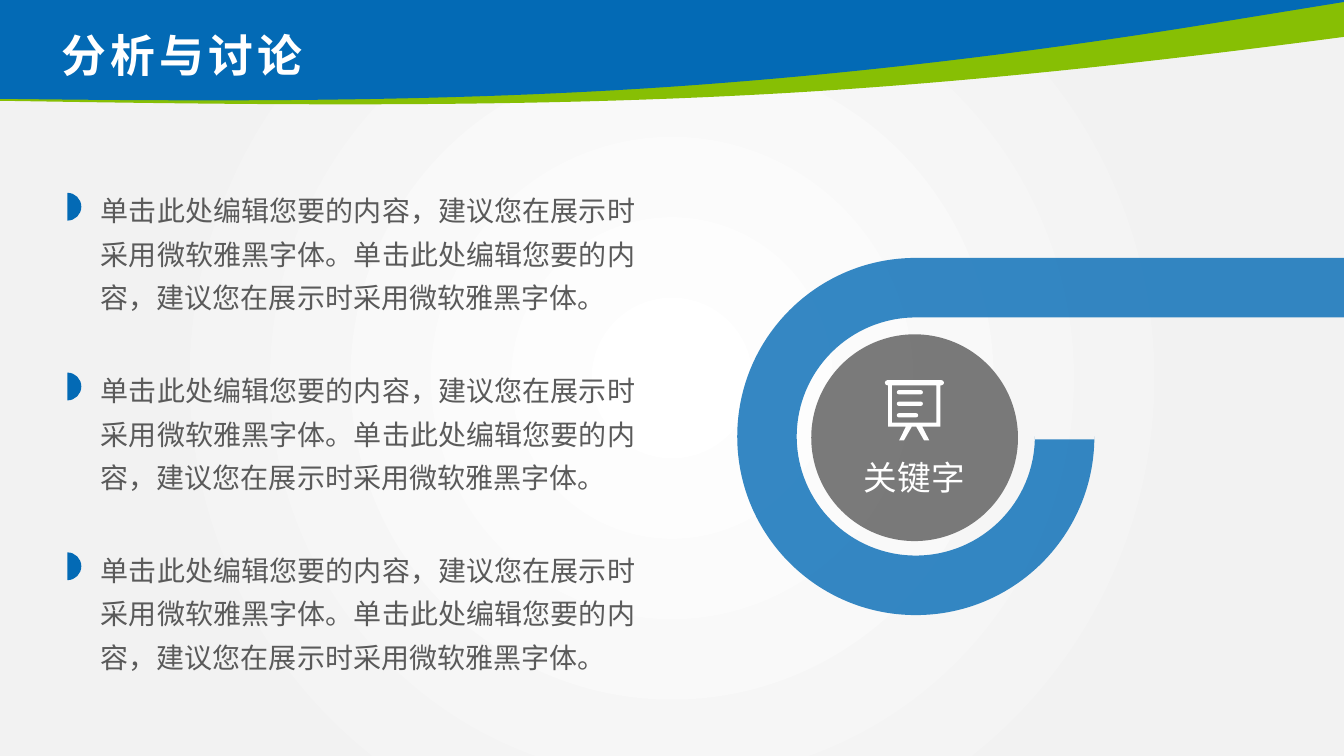
from math import ceil, cos, radians, sin, tan

from pptx import Presentation
from pptx.dml.color import RGBColor
from pptx.enum.shapes import MSO_SHAPE as Kind
from pptx.enum.text import MSO_ANCHOR as Anchor, MSO_AUTO_SIZE as Fit, PP_ALIGN as Align
from pptx.oxml import parse_xml
from pptx.oxml.ns import nsdecls, qn
from pptx.util import Cm, Pt

BLUE, GREEN, GREY, WHITE = "036AB5", "87BF04", "5A5A5A", "FFFFFF"
WIDE, HIGH = 33.87, 19.05
BODY = "单击此处编辑您要的内容，建议您在展示时采用微软雅黑字体。" * 2


def tint(hue):
    return RGBColor.from_string(hue)


def paint(shape, hue, alpha=None):
    shape.shadow.inherit = False
    shape.fill.solid()
    shape.fill.fore_color.rgb = tint(hue)
    shape.line.fill.background()
    if alpha:
        node = shape.element.spPr.find(".//" + qn("a:srgbClr"))
        node.append(parse_xml(f'<a:alpha {nsdecls("a")} val="{alpha * 1000}"/>'))
    return shape


# An outline ring is a list of steps: one point for a line, three for a curve
def lines(*spots):
    return [[spot] for spot in spots]


def arc(x, y, r, start, end):
    """Steps along a circle; angles in degrees, clockwise from the right."""
    count = ceil(abs(end - start) / 90)
    turn = radians(end - start) / count
    k = 4 / 3 * tan(turn / 4)
    steps = lines((x + r * cos(radians(start)), y + r * sin(radians(start))))
    for i in range(count):
        a = radians(start) + i * turn
        b = a + turn
        steps.append([(x + r * (cos(a) - k * sin(a)), y + r * (sin(a) + k * cos(a))),
                      (x + r * (cos(b) + k * sin(b)), y + r * (sin(b) - k * cos(b))),
                      (x + r * cos(b), y + r * sin(b))])
    return steps


def pill(x, y, w, h):
    r = h / 2
    return arc(x + w - r, y + r, r, -90, 90) + arc(x + r, y + r, r, 90, 270)


def draw(shapes, rings, hue, alpha=None, left=0, top=0):
    """One filled outline made of closed rings."""
    pen = None
    for ring in rings:
        spots = [(Cm(left + x), Cm(top + y)) for step in ring for x, y in step]
        if pen:
            pen.move_to(*spots[0])
        else:
            pen = shapes.build_freeform(*spots[0])
        pen.add_line_segments(spots[1:], close=True)
    shape = pen.convert_to_shape()
    # Join each three-point step into a cubic curve
    nodes = iter(list(shape.element.iter(qn("a:lnTo"))))
    for ring in rings:
        for step in ring[1:]:
            trio = [next(nodes) for spot in step]
            if len(trio) == 3:
                bend = parse_xml(f'<a:cubicBezTo {nsdecls("a")}/>')
                trio[0].addprevious(bend)
                for node in trio:
                    bend.append(node[0])
                    node.getparent().remove(node)
    return paint(shape, hue, alpha)


def place(shape, box):
    shape.left, shape.top, shape.width, shape.height = map(Cm, box)


def write(shape, text, size, hue, font="Calibri", align=Align.LEFT, lead=None,
          bold=False, gap=None, anchor=Anchor.TOP):
    frame = shape.text_frame
    frame.word_wrap, frame.auto_size = True, Fit.SHAPE_TO_FIT_TEXT
    frame.vertical_anchor = anchor
    para = frame.paragraphs[0]
    para.alignment, para.line_spacing = align, lead
    run = para.add_run()
    run.text = text
    run.font.size, run.font.name, run.font.bold = Pt(size), font, bold
    run.font.color.rgb = tint(hue)
    props = run.font._element
    props.append(parse_xml(f'<a:ea {nsdecls("a")} typeface="{font}"/>'))
    if gap:
        props.set("spc", str(gap * 100))


def label(shapes, box, text, **style):
    write(shapes.add_textbox(*map(Cm, box)), text, **style)


def ground(slide):
    fill = slide.background.fill
    fill.gradient()
    for stop, (spot, hue) in zip(fill.gradient_stops, ((0, WHITE), (0.73, "F2F2F2"))):
        stop.position, stop.color.rgb = spot, tint(hue)
    grad = slide.element.find(".//" + qn("a:gradFill"))
    grad.replace(grad.find(qn("a:lin")), parse_xml(
        f'<a:path {nsdecls("a")} path="circle">'
        '<a:fillToRect l="50000" t="50000" r="50000" b="50000"/></a:path>'))


def header(slide, text, box):
    # Green and blue waves
    mid = 18.59
    green = [[(0, 2.54)],
             [(6.2, 2.64), (12.4, 2.72), (mid, 2.41)],
             [(23.7, 2.16), (28.8, 1.6), (WIDE, 0.93)],
             [(WIDE, 0.02)],
             [(28.8, 0.89), (23.7, 1.63), (mid, 2.03)],
             [(12.4, 2.51), (6.2, 2.54), (0, 2.46)]]
    blue = lines((0, 0), (WIDE, 0), (WIDE, 0.05), (30.12, 0.66)) + [
        [(26.29, 1.27), (22.43, 1.75), (mid, 2.06)],
        [(12.4, 2.57), (6.2, 2.57), (0, 2.49)]]
    draw(slide.shapes, [green], GREEN)
    draw(slide.shapes, [blue], BLUE)
    # Title above the waves
    title = slide.shapes.title
    slide.shapes.element.append(title.element)
    place(title, box)
    write(title, text, size=32, hue=WHITE, font="Noto Sans CJK SC", lead=0.9,
          bold=True, gap=3, anchor=Anchor.MIDDLE)


def point(slide, text, box):
    left, top, wide, high = box
    shapes = slide.shapes.add_group_shape().shapes
    label(shapes, (left + 0.59, top, wide - 0.59, high), text,
          size=20, hue=GREY, align=Align.JUSTIFY, lead=1.3)
    draw(shapes, [arc(0, 0.35, 0.35, -90, 90)], BLUE, left=left, top=top + 0.36)


def board(slide, left, top):
    rail = pill(0, 0, 1.49, 0.13)
    frame = lines((0.08, 0.13), (0.18, 0.13), (0.18, 1.07), (1.3, 1.07),
                  (1.3, 0.13), (1.4, 0.13), (1.4, 1.17), (0.08, 1.17))
    legs = [lines((0.53, 1.17), (0.68, 1.17), (0.48, 1.52), (0.36, 1.52)),
            lines((0.79, 1.17), (0.94, 1.17), (1.12, 1.52), (0.99, 1.52))]
    bars = [pill(0.3, 0.25 + 0.29 * i, w, 0.11) for i, w in enumerate((0.66, 0.66, 0.54))]
    draw(slide.shapes, [rail, frame, *legs, *bars], WHITE, left=left, top=top)


def hook(slide, text, box):
    left, top, wide, high = box
    out = high / 2
    band = 1.5
    x, y = left + out, top + out
    # Open ring with an arm to the right edge
    ring = (lines((left + wide, top)) + arc(x, y, out, 270, 0)[0:]
            + lines((x + out, y + 0.07), (x + out - band, y + 0.07))
            + arc(x, y, out - band, 0, 270) + lines((left + wide, top + band)))
    draw(slide.shapes, [ring], BLUE, alpha=80)
    # Disc, keyword and board
    disc = 5.21
    core = slide.shapes.add_shape(
        Kind.OVAL, *map(Cm, (x - 0.03 - disc / 2, y + 0.03 - disc / 2, disc, disc)))
    paint(core, GREY, alpha=80)
    label(slide.shapes, (x - 2.17, y + 0.4, 4.26, 1.28), text,
          size=24, hue=WHITE, align=Align.CENTER)
    board(slide, x - 0.78, y - 1.42)


def main():
    deck = Presentation()
    deck.slide_width, deck.slide_height = Cm(WIDE), Cm(HIGH)
    slide = deck.slides.add_slide(deck.slide_layouts[5])
    ground(slide)
    header(slide, "分析与讨论", (1.3, 0.72, 17.1, 1.5))
    hook(slide, "关键字", (18.58, 6.5, WIDE - 18.58, 9))
    for i in range(3):
        point(slide, BODY, (1.7, 4.5 + 4.53 * i, 14.56, 3.58))
    deck.save("out.pptx")


if __name__ == "__main__":
    main()
